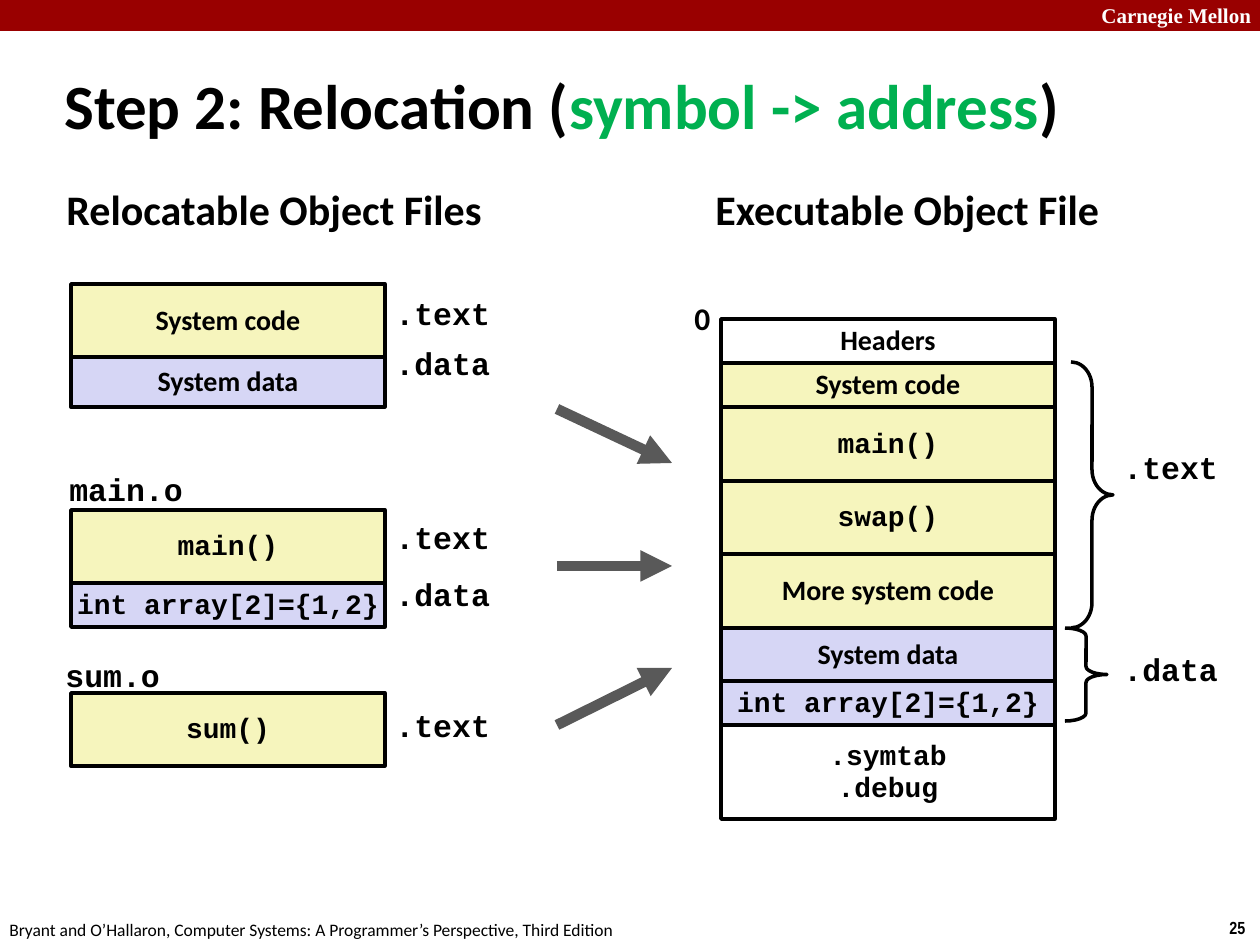
from lxml import etree
from pptx import Presentation
from pptx.dml.color import RGBColor
from pptx.enum.shapes import MSO_CONNECTOR, MSO_SHAPE
from pptx.enum.text import MSO_ANCHOR, PP_ALIGN
from pptx.oxml.ns import qn
from pptx.util import Emu, Pt

RECTANGLE = MSO_SHAPE.RECTANGLE
RIGHT_BRACE = MSO_SHAPE.RIGHT_BRACE
STRAIGHT = MSO_CONNECTOR.STRAIGHT
MIDDLE = MSO_ANCHOR.MIDDLE
TOP = MSO_ANCHOR.TOP
LEFT = PP_ALIGN.LEFT
CENTER = PP_ALIGN.CENTER

EMU_PER_PX = 914400 / 126
SANS, MONO = "Calibri", "Courier New"
LINE_SPACING = {SANS: 0.98, MONO: 0.94}
BLACK, WHITE, RED, GREEN, GRAY = "000000", "FFFFFF", "990000", "00B050", "595959"
CODE_FILL, DATA_FILL = "F6F5BD", "D6D6F5"


def px(value):
    return Emu(round(value * EMU_PER_PX))


def color(hex_value):
    return RGBColor.from_string(hex_value)


def format_run(run, size, font, hex_value=BLACK, bold=True):
    run.font.size = Pt(size)
    run.font.name = font
    run.font.bold = bold
    run.font.color.rgb = color(hex_value)


def write(text_frame, text, size, font, hex_value=BLACK, bold=True, align=LEFT):
    text_frame.text = text
    for paragraph in text_frame.paragraphs:
        paragraph.alignment = align
        paragraph.line_spacing = LINE_SPACING.get(font, 1.0)
        for run in paragraph.runs:
            format_run(run, size, font, hex_value, bold)


def add_label(slide, left, top, width, height, text, size, font=MONO,
              hex_value=BLACK, bold=True, wrap=False, anchor=TOP):
    box = slide.shapes.add_textbox(px(left), px(top), px(width), px(height))
    box.text_frame.word_wrap = wrap
    box.text_frame.vertical_anchor = anchor
    write(box.text_frame, text, size, font, hex_value, bold)
    return box


def add_block(slide, left, top, width, height, fill, line=BLACK):
    block = slide.shapes.add_shape(RECTANGLE, px(left), px(top), px(width), px(height))
    block.shadow.inherit = False
    block.fill.solid()
    block.fill.fore_color.rgb = color(fill)
    if line:
        block.line.color.rgb = color(line)
        block.line.width = Pt(2)
    else:
        block.line.fill.background()
    return block


def add_stack(slide, left, top, width, sections):
    """Stack touching sections of (text, height, fill, font) downwards."""
    for text, height, fill, font in sections:
        block = add_block(slide, left, top, width, height, fill)
        block.text_frame.word_wrap = False
        block.text_frame.vertical_anchor = MIDDLE
        write(block.text_frame, text, 16, font, align=CENTER)
        top += height


def add_brace(slide, left, top, width, height, curve):
    brace = slide.shapes.add_shape(RIGHT_BRACE, px(left), px(top), px(width), px(height))
    brace.shadow.inherit = False
    brace.adjustments[0] = curve
    brace.fill.background()
    brace.line.color.rgb = color(BLACK)
    brace.line.width = Pt(2)


def add_arrow(slide, start_x, start_y, end_x, end_y):
    arrow = slide.shapes.add_connector(
        STRAIGHT, px(start_x), px(start_y), px(end_x), px(end_y))
    arrow.line.color.rgb = color(GRAY)
    arrow.line.width = Pt(6)
    properties = arrow._element.spPr
    etree.SubElement(properties.find(qn("a:ln")), qn("a:tailEnd"), type="triangle")
    etree.SubElement(properties, qn("a:effectLst"))


def add_frame(slide):
    add_block(slide, 0, 0, 1260, 31, RED, line=None)
    add_label(slide, 1089, -4, 180, 38, "Carnegie Mellon", 12,
              "Times New Roman", WHITE, wrap=True)
    add_label(slide, 1217, 911, 43, 34, "25", 10, "Arial Narrow")
    add_label(slide, -3, 914, 640, 34,
              "Bryant and O’Hallaron, Computer Systems: "
              "A Programmer’s Perspective, Third Edition", 10, SANS, bold=False)


def add_title(slide):
    title = add_label(slide, 52, 64, 1047, 80, "Step 2: Relocation (", 36, SANS,
                      wrap=True, anchor=MIDDLE)
    paragraph = title.text_frame.paragraphs[0]
    paragraph.line_spacing = 1.0
    for text, hex_value in (("symbol -> address", GREEN), (")", BLACK)):
        run = paragraph.add_run()
        run.text = text
        format_run(run, 36, SANS, hex_value)


def add_relocatable_files(slide):
    add_label(slide, 54, 180, 445, 63, "Relocatable Object Files", 24, SANS)
    left, width = 71, 314
    add_stack(slide, left, 284, width, [
        ("System code", 73, CODE_FILL, SANS),
        ("System data", 50, DATA_FILL, SANS)])
    add_stack(slide, left, 510, width, [
        ("main()", 73, CODE_FILL, MONO),
        ("int array[2]={1,2}", 44, DATA_FILL, MONO)])
    add_stack(slide, left, 693, width, [("sum()", 73, CODE_FILL, MONO)])

    # File names above, section names to the right
    add_label(slide, 57, 467, 139, 49, "main.o", 18)
    add_label(slide, 53, 653, 121, 49, "sum.o", 18)
    for top, section in ((291, ".text"), (341, ".data"), (515, ".text"),
                         (572, ".data"), (703, ".text")):
        add_label(slide, 383, top, 120, 49, section, 18)


def add_executable_file(slide):
    add_label(slide, 703, 180, 413, 63, "Executable Object File", 24, SANS)
    add_label(slide, 682, 295, 43, 50, "0", 18, SANS)
    add_stack(slide, 721, 319, 334, [
        ("Headers", 44, WHITE, SANS),
        ("System code", 44, CODE_FILL, SANS),
        ("main()", 74, CODE_FILL, MONO),
        ("swap()", 73, CODE_FILL, MONO),
        ("More system code", 74, CODE_FILL, SANS),
        ("System data", 53, DATA_FILL, SANS),
        ("int array[2]={1,2}", 44, DATA_FILL, MONO),
        (".symtab\n.debug", 94, WHITE, MONO)])

    # Braces with section names
    add_brace(slide, 1071, 362, 42, 266, 0.6)
    add_brace(slide, 1065, 628, 42, 93, 0.19)
    for top, section in ((445, ".text"), (647, ".data")):
        add_label(slide, 1111, top, 120, 49, section, 18)


def main():
    presentation = Presentation()
    presentation.slide_width = px(1260)
    presentation.slide_height = px(945)
    slide = presentation.slides.add_slide(presentation.slide_layouts[6])

    add_frame(slide)
    add_title(slide)
    add_relocatable_files(slide)
    add_executable_file(slide)

    # Arrows from the object files to the executable
    for start_y, end_y in ((409, 463), (566, 566), (725, 668)):
        add_arrow(slide, 557, start_y, 672, end_y)

    presentation.save("out.pptx")


if __name__ == "__main__":
    main()
